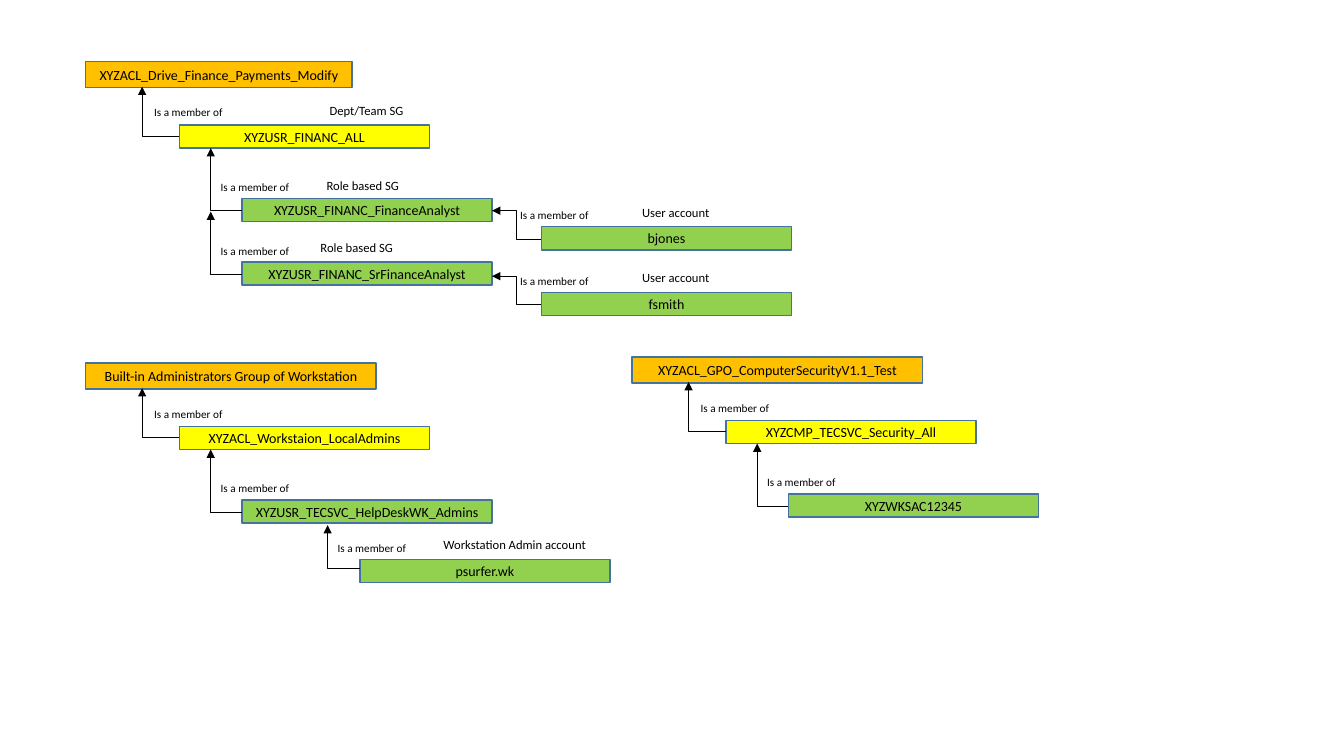
from lxml.etree import SubElement
from pptx import Presentation
from pptx.dml.color import RGBColor
from pptx.enum.shapes import MSO_CONNECTOR, MSO_SHAPE
from pptx.enum.text import MSO_ANCHOR, MSO_AUTO_SIZE, PP_ALIGN
from pptx.oxml.ns import qn
from pptx.util import Inches, Pt

ORANGE = RGBColor(0xFF, 0xC0, 0x00)
YELLOW = RGBColor(0xFF, 0xFF, 0x00)
GREEN = RGBColor(0x92, 0xD0, 0x50)
BORDER = RGBColor(0x43, 0x73, 0x9E)
BLACK = RGBColor(0x00, 0x00, 0x00)

FONT = "Calibri"
BOX_WIDTH = 2.48
BOX_HEIGHT = 0.23
ROOT_HEIGHT = 0.26
MEMBER_OF = "Is a member of"


def write(shape, text, size, align=None):
    para = shape.text_frame.paragraphs[0]
    para.alignment = align
    span = para.add_run()
    span.text = text
    span.font.name = FONT
    span.font.size = Pt(size)
    span.font.color.rgb = BLACK


def add_box(group, left, top, text, fill, width=BOX_WIDTH, height=BOX_HEIGHT):
    box = group.shapes.add_shape(
        MSO_SHAPE.RECTANGLE, Inches(left), Inches(top), Inches(width), Inches(height))
    box.shadow.inherit = False
    box.fill.solid()
    box.fill.fore_color.rgb = fill
    box.line.color.rgb = BORDER
    box.line.width = Pt(1)
    box.text_frame.word_wrap = True
    box.text_frame.vertical_anchor = MSO_ANCHOR.MIDDLE
    write(box, text, 10, PP_ALIGN.CENTER)


def add_label(group, left, top, text, width=0.95, height=0.25, size=9):
    label = group.shapes.add_textbox(
        Inches(left), Inches(top), Inches(width), Inches(height))
    label.text_frame.word_wrap = True
    label.text_frame.auto_size = MSO_AUTO_SIZE.SHAPE_TO_FIT_TEXT
    write(label, text, size)


def add_member_label(group, left, top):
    add_label(group, left, top, MEMBER_OF, width=1.4, height=0.24, size=8)


def add_arrow(group, start, end, preset="bentConnector2"):
    arrow = group.shapes.add_connector(
        MSO_CONNECTOR.ELBOW, *(Inches(value) for value in (*start, *end)))
    arrow.line.color.rgb = BLACK
    arrow.line.width = Pt(0.5)
    properties = arrow._element.spPr
    properties.find(qn("a:prstGeom")).set("prst", preset)
    SubElement(properties.find(qn("a:ln")), qn("a:tailEnd"), type="triangle")
    SubElement(properties, qn("a:effectLst"))


def add_role(group, left, top, text):
    add_box(group, left, top, text, GREEN)
    add_arrow(group, (left, top + 0.12), (left - 0.31, top - 0.5))
    add_member_label(group, left - 0.31, top - 0.23)


def add_chain(page, left, top, root_width, root, team, role):
    group = page.shapes.add_group_shape()
    add_box(group, left, top, root, ORANGE, root_width, ROOT_HEIGHT)
    add_box(group, left + 0.93, top + 0.63, team, YELLOW)
    add_arrow(group, (left + 0.93, top + 0.74), (left + 0.56, top + 0.25))
    add_member_label(group, left + 0.58, top + 0.39)
    add_role(group, left + 1.55, top + 1.36, role)
    return group


def add_user(group, left, top, name):
    add_box(group, left, top, name, GREEN)
    add_arrow(group, (left, top + 0.12), (left - 0.49, top - 0.16), "bentConnector3")
    add_member_label(group, left - 0.31, top - 0.23)
    add_label(group, left + 0.9, top - 0.27, "User account")


def add_finance_chain(page, left, top):
    group = add_chain(page, left, top, 2.64, "XYZACL_Drive_Finance_Payments_Modify",
                      "XYZUSR_FINANC_ALL", "XYZUSR_FINANC_FinanceAnalyst")
    add_role(group, left + 1.55, top + 1.99, "XYZUSR_FINANC_SrFinanceAnalyst")
    add_user(group, left + 4.52, top + 1.64, "bjones")
    add_user(group, left + 4.52, top + 2.29, "fsmith")
    add_label(group, left + 2.32, top + 0.36, "Dept/Team SG")
    add_label(group, left + 2.29, top + 1.11, "Role based SG")
    add_label(group, left + 2.23, top + 1.72, "Role based SG")


def add_workstation_chain(page, left, top):
    group = add_chain(page, left, top, 2.88, "Built-in Administrators Group of Workstation",
                      "XYZACL_Workstaion_LocalAdmins", "XYZUSR_TECSVC_HelpDeskWK_Admins")
    add_box(group, left + 2.72, top + 1.95, "psurfer.wk", GREEN)
    add_arrow(group, (left + 2.72, top + 2.04), (left + 2.4, top + 1.61))
    add_member_label(group, left + 2.4, top + 1.72)
    add_label(group, left + 3.45, top + 1.68, "Workstation Admin account", width=1.75)


def main():
    deck = Presentation()
    deck.slide_width = Inches(13.33)
    deck.slide_height = Inches(7.5)
    page = deck.slides.add_slide(deck.slide_layouts[6])
    add_finance_chain(page, 0.85, 0.61)
    add_workstation_chain(page, 0.85, 3.6)
    add_chain(page, 6.27, 3.54, 2.88, "XYZACL_GPO_ComputerSecurityV1.1_Test",
              "XYZCMP_TECSVC_Security_All", "XYZWKSAC12345")
    deck.save("out.pptx")


if __name__ == "__main__":
    main()
